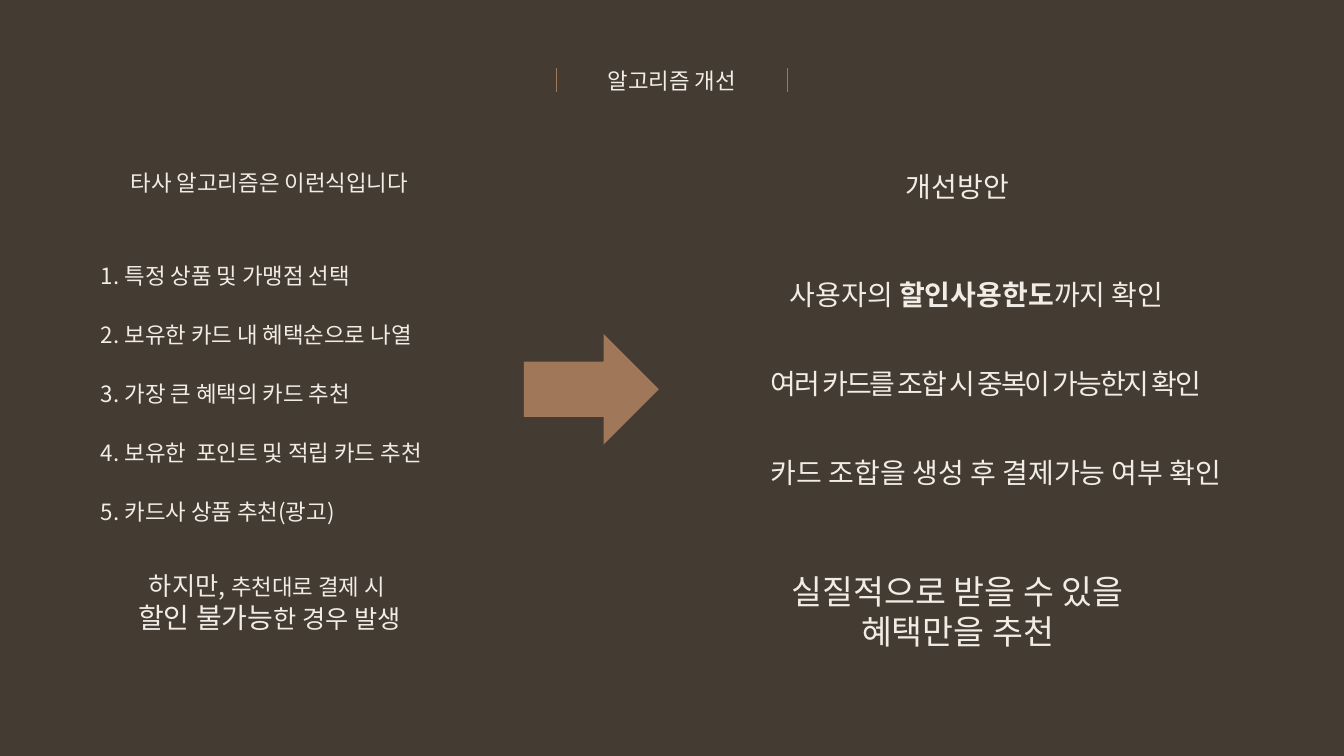
from dataclasses import dataclass

from lxml import etree
from pptx import Presentation
from pptx.dml.color import RGBColor
from pptx.enum.shapes import MSO_CONNECTOR, MSO_SHAPE
from pptx.enum.text import MSO_ANCHOR, MSO_AUTO_SIZE, PP_ALIGN
from pptx.oxml.ns import qn
from pptx.util import Pt

LEFT, CENTER = PP_ALIGN.LEFT, PP_ALIGN.CENTER
TOP = MSO_ANCHOR.TOP
FIT, FIXED = MSO_AUTO_SIZE.SHAPE_TO_FIT_TEXT, MSO_AUTO_SIZE.NONE
STRAIGHT = MSO_CONNECTOR.STRAIGHT
ARROW = MSO_SHAPE.RIGHT_ARROW
TITLE_ONLY = 5


@dataclass(frozen=True)
class Theme:
    """Colours, fonts and type sizes."""
    back: RGBColor = RGBColor(0x44, 0x3B, 0x32)
    ink: RGBColor = RGBColor(0xF1, 0xEC, 0xE6)
    accent: RGBColor = RGBColor(0xA0, 0x77, 0x59)
    latin: str = "Noto Sans"
    hangul: str = "Noto Sans CJK KR"
    small: int = 16
    mid: int = 18
    large: int = 20
    huge: int = 24


class Deck:
    """Draws elements on the current slide in one style."""

    def __init__(self, theme):
        """Open a 960 by 540 point deck with one titled slide."""
        self.theme = theme
        self.prs = Presentation()
        self.prs.slide_width, self.prs.slide_height = Pt(960), Pt(540)
        self.slide = self.prs.slides.add_slide(
            self.prs.slide_layouts[TITLE_ONLY])
        fill = self.slide.background.fill
        fill.solid()
        fill.fore_color.rgb = theme.back

    def style(self, run, size, font, bold=False, track=0):
        """Format a run; track is letter spacing in points."""
        run.font.name = font
        run.font.size = Pt(size)
        run.font.bold = bold
        run.font.color.rgb = self.theme.ink
        props = run._r.get_or_add_rPr()
        east = etree.Element(qn("a:ea"), typeface=self.theme.hangul)
        props.find(qn("a:latin")).addnext(east)
        if track:
            props.set("spc", str(round(track * 100)))

    def title(self, text, x, y, w, h):
        """Place the slide title."""
        shape = self.slide.shapes.title
        shape.left, shape.top = Pt(x), Pt(y)
        shape.width, shape.height = Pt(w), Pt(h)
        frame = shape.text_frame
        frame.text = text
        frame.word_wrap = False
        frame.auto_size = FIXED
        frame.vertical_anchor = TOP
        para = frame.paragraphs[0]
        para.alignment = CENTER
        self.style(para.runs[0], self.theme.small, self.theme.latin)

    def text(self, x, y, w, h, lines, align=CENTER, track=0):
        """Add a text box; each line lists (text, size[, bold]) runs."""
        box = self.slide.shapes.add_textbox(Pt(x), Pt(y), Pt(w), Pt(h))
        frame = box.text_frame
        frame.word_wrap = True
        frame.auto_size = FIT
        for i, line in enumerate(lines):
            para = frame.add_paragraph() if i else frame.paragraphs[0]
            para.alignment = align
            for words, size, *bold in line:
                run = para.add_run()
                run.text = words
                self.style(run, size, self.theme.hangul, any(bold), track)

    def rule(self, x, top, end):
        """Add a thin upright line."""
        line = self.slide.shapes.add_connector(
            STRAIGHT, Pt(x), Pt(top), Pt(x), Pt(end))
        line.line.color.rgb = self.theme.accent
        line.line.width = Pt(1.25)
        etree.SubElement(line._element.spPr, qn("a:effectLst"))

    def arrow(self, x, y, w, h):
        """Add a filled block arrow."""
        shape = self.slide.shapes.add_shape(ARROW, Pt(x), Pt(y), Pt(w), Pt(h))
        shape.shadow.inherit = False
        shape.fill.solid()
        shape.fill.fore_color.rgb = self.theme.accent
        shape.line.fill.background()


def before(deck):
    """Draw the left column: the present method and its flaw."""
    t = deck.theme
    deck.text(51, 117.4, 283, 26.6, [[("타사 알고리즘은 이런식입니다", t.small)]])
    steps = ["특정 상품 및 가맹점 선택", "보유한 카드 내 혜택순으로 나열",
             "가장 큰 혜택의 카드 추천", "보유한  포인트 및 적립 카드 추천",
             "카드사 상품 추천(광고)"]
    for i, step in enumerate(steps):
        deck.text(65, 183.6 + 42.1 * i, 328, 26.6,
                  [[(f"{i + 1}. {step}", t.small)]], LEFT)
    deck.text(51, 404, 283, 53.3, [
        [("하지만, ", t.mid), ("추천대로 결제 시 ", t.small)],
        [("할인 불가능", t.large), ("한 경우 발생", t.mid)]])


def after(deck):
    """Draw the right column: the better method and its result."""
    t = deck.theme
    deck.text(530, 117.4, 308, 31.5, [[("개선방안", t.large)]])
    checks = [
        (308, CENTER, 0, [("사용자의 ", t.large), ("할인사용한도", t.large, True),
                          ("까지 확인", t.large)]),
        (357, LEFT, -1.5, [("여러 카드를 조합 시 중복이 가능한지 확인", t.large)]),
        (357, LEFT, 0, [("카드 조합을 생성 후 결제가능 여부 확인", t.large)])]
    for i, (w, align, track, line) in enumerate(checks):
        deck.text(543.6, 194.4 + 63.7 * i, w, 31.5, [line], align, track)
    deck.text(530, 404, 308, 65.4, [[("실질적으로 받을 수 있을", t.huge)],
                                    [("혜택만을 추천", t.huge)]])


def main():
    """Build and save the slide."""
    deck = Deck(Theme())
    deck.title("알고리즘 개선", 422.4, 44, 115.2, 26.6)
    for x in (397.5, 562.5):
        deck.rule(x, 48.5, 65.5)
    before(deck)
    after(deck)
    deck.arrow(374.2, 238.5, 96.5, 79)
    deck.prs.save("out.pptx")


main()
